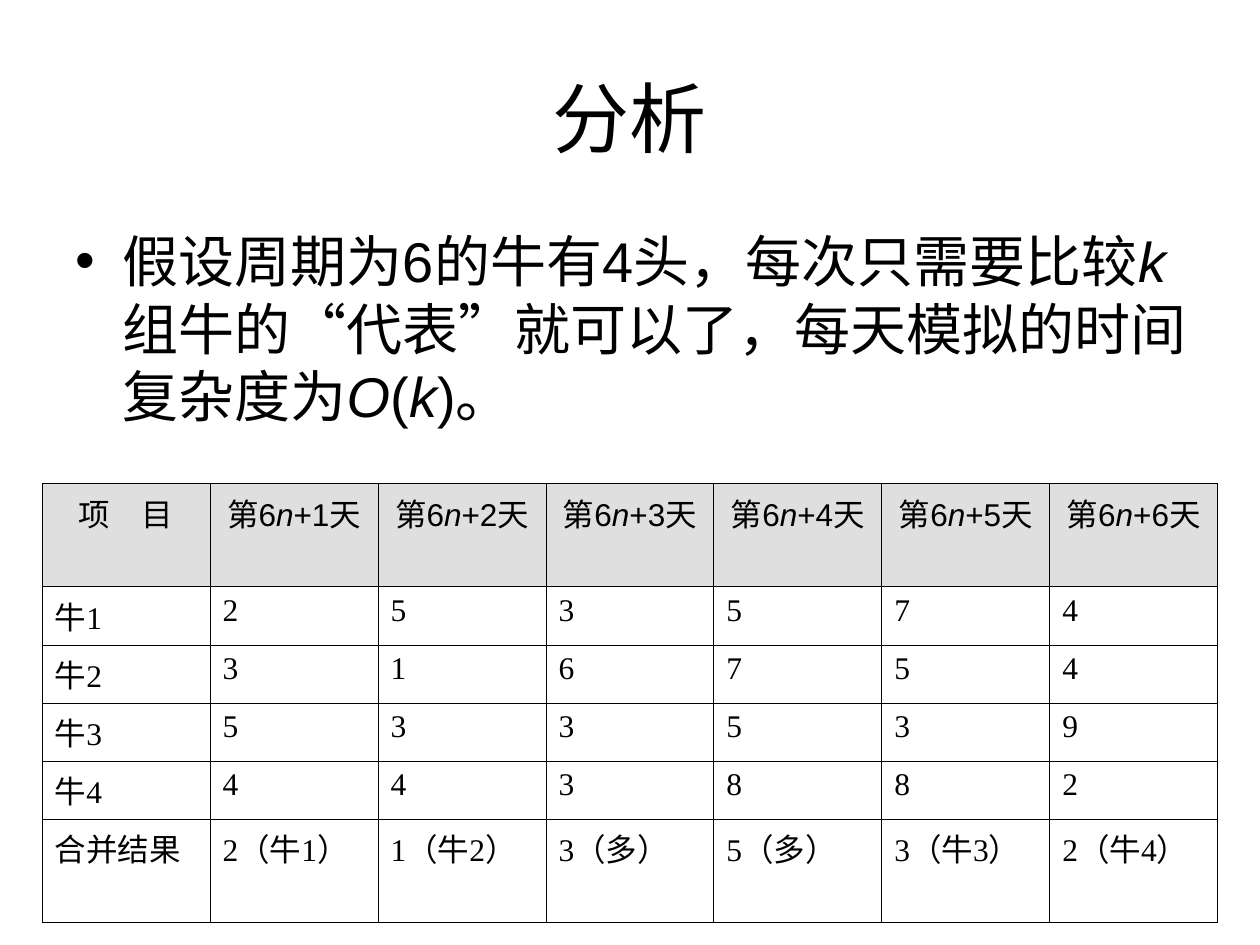
from dataclasses import dataclass

from lxml import etree
from pptx import Presentation
from pptx import util as u
from pptx.dml.color import RGBColor
from pptx.enum import text
from pptx.oxml import ns


@dataclass(frozen=True)
class Theme:
    ink: str = "000000"
    header_fill: str = "DFDFDF"
    sans: str = "Arial"
    serif: str = "Times New Roman"
    title_size: int = 44
    body_size: int = 32
    table_size: int = 18
    rule_width: float = 0.45
    hanging: float = 0.95


@dataclass(frozen=True)
class Box:
    left: float
    top: float
    width: float
    height: float

    def lengths(self) -> list:
        return [u.Cm(v) for v in (self.left, self.top, self.width, self.height)]


@dataclass(frozen=True)
class Row:
    cells: list
    height: float
    is_header: bool = False


THEME = Theme()
TALL, SHORT = 2.08, 1.17
TITLE_BOX = Box(1.27, 0.76, 22.86, 3.18)
BODY_BOX = Box(1.27, 4.45, 23.06, 12.57)
TABLE_BOX = Box(0.85, 9.75, 23.7, 2 * TALL + 4 * SHORT)

DAYS = range(1, 7)
COW_YIELDS = ["253574", "316754", "533539", "443882"]
MERGED = ["2（牛1）", "1（牛2）", "3（多）", "5（多）", "3（牛3）", "2（牛4）"]
ROWS = [
    Row(["项　目"] + [f"第6*n*+{day}天" for day in DAYS], TALL, True),
    *(Row([f"牛{cow}", *yields], SHORT)
      for cow, yields in enumerate(COW_YIELDS, 1)),
    Row(["合并结果"] + MERGED, TALL),
]
CLAIM = ("假设周期为6的牛有4头，每次只需要比较*k*组牛的“代表”就可以了，"
         "每天模拟的时间复杂度为*O*(*k*)。")


def write(paragraph, marked: str, size: int, font: str) -> None:
    """Write text in which *stars* enclose the italic parts."""
    for index, part in enumerate(marked.split("*")):
        run = paragraph.add_run()
        run.text = part
        run.font.size = u.Pt(size)
        run.font.name = font
        run.font.italic = index % 2 == 1
        run.font.color.rgb = RGBColor.from_string(THEME.ink)


def hang(paragraph, bullet: str = "") -> None:
    """Indent all lines but the first, with an optional bullet."""
    props = paragraph._p.get_or_add_pPr()
    props.set("marL", str(u.Cm(THEME.hanging)))
    props.set("indent", str(-u.Cm(THEME.hanging)))
    if bullet:
        etree.SubElement(props, ns.qn("a:buFont")).set("typeface", THEME.sans)
        etree.SubElement(props, ns.qn("a:buChar")).set("char", bullet)


def rule_cell(cell) -> None:
    """Draw the four borders of a cell."""
    props = cell._tc.get_or_add_tcPr()
    for side in ("lnL", "lnR", "lnT", "lnB"):
        rule = etree.SubElement(props, ns.qn(f"a:{side}"),
                                w=str(u.Pt(THEME.rule_width)))
        fill = etree.SubElement(rule, ns.qn("a:solidFill"))
        etree.SubElement(fill, ns.qn("a:srgbClr"), val=THEME.ink)


def add_title(slide, wording: str) -> None:
    title = slide.shapes.title
    title.left, title.top, title.width, title.height = TITLE_BOX.lengths()
    frame = title.text_frame
    frame.auto_size = text.MSO_AUTO_SIZE.NONE
    frame.vertical_anchor = text.MSO_ANCHOR.MIDDLE
    heading = frame.paragraphs[0]
    heading.alignment = text.PP_ALIGN.CENTER
    write(heading, wording, THEME.title_size, THEME.sans)


def add_claim(slide, wording: str) -> None:
    frame = slide.shapes.add_textbox(*BODY_BOX.lengths()).text_frame
    frame.word_wrap = True
    claim = frame.paragraphs[0]
    claim.space_before = u.Pt(8)
    hang(claim, "•")
    write(claim, wording, THEME.body_size, THEME.sans)


def add_yield_table(slide, rows: list) -> None:
    columns = len(rows[0].cells)
    table = slide.shapes.add_table(len(rows), columns,
                                   *TABLE_BOX.lengths()).table
    table.first_row = table.horz_banding = False
    for column in table.columns:
        column.width = u.Cm(TABLE_BOX.width / columns)
    for index, row in enumerate(rows):
        table.rows[index].height = u.Cm(row.height)
        for cell, wording in zip(table.rows[index].cells, row.cells):
            rule_cell(cell)
            entry = cell.text_frame.paragraphs[0]
            hang(entry)
            if row.is_header:
                cell.fill.solid()
                cell.fill.fore_color.rgb = RGBColor.from_string(THEME.header_fill)
                entry.alignment = text.PP_ALIGN.CENTER
            else:
                cell.fill.background()
            write(entry, wording, THEME.table_size,
                  THEME.sans if row.is_header else THEME.serif)


def main() -> None:
    deck = Presentation()
    deck.slide_width, deck.slide_height = u.Cm(25.4), u.Cm(19.05)
    slide = deck.slides.add_slide(deck.slide_layouts[5])  # title only
    add_title(slide, "分析")
    add_claim(slide, CLAIM)
    add_yield_table(slide, ROWS)
    deck.save("out.pptx")


if __name__ == "__main__":
    main()
